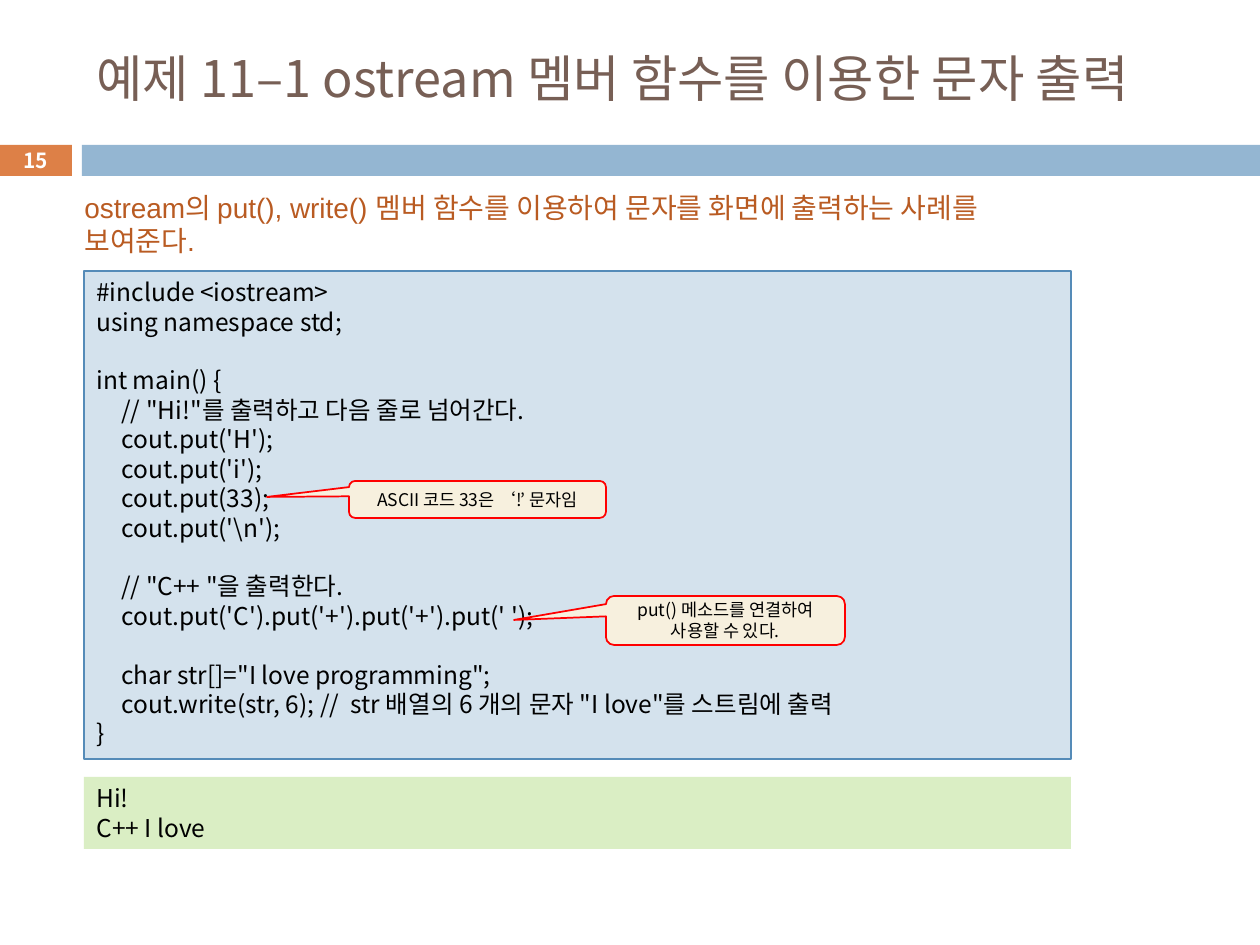
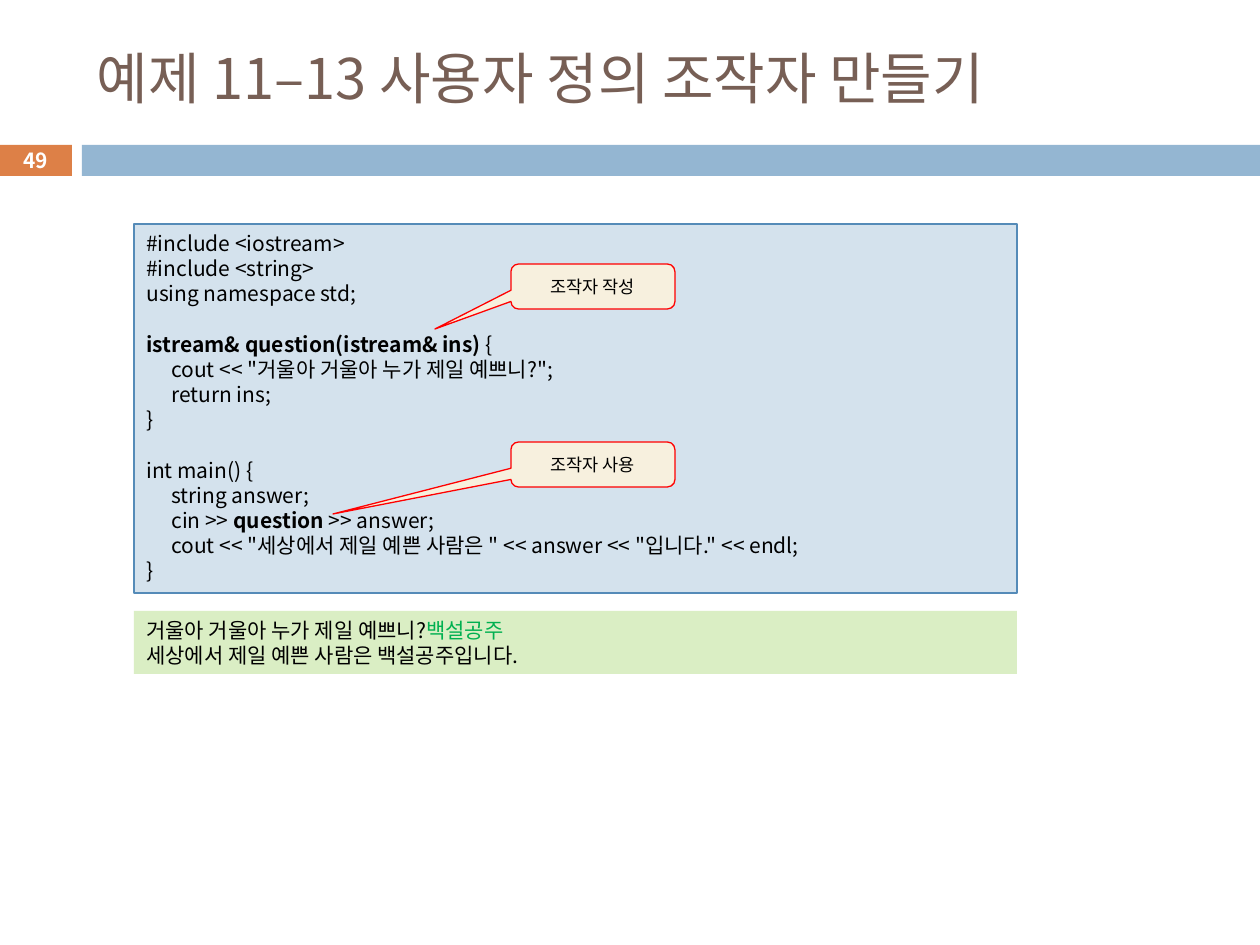
from lxml.etree import SubElement
from pptx import Presentation
from pptx.dml.color import RGBColor
from pptx.enum.shapes import MSO_SHAPE
from pptx.enum.text import MSO_ANCHOR, PP_ALIGN
from pptx.oxml.ns import qn
from pptx.util import Emu, Pt

SCALE = 914400 / 126  # EMU per px
FONT = "Noto Sans CJK KR"
BLACK = RGBColor(0, 0, 0)
WHITE = RGBColor(0xFF, 0xFF, 0xFF)
BROWN = RGBColor(0x77, 0x5F, 0x55)
ORANGE = RGBColor(0xDD, 0x80, 0x47)
BAND_BLUE = RGBColor(0x94, 0xB6, 0xD2)
INTRO_ORANGE = RGBColor(0xB9, 0x5B, 0x22)
CODE_FILL = RGBColor(0xD4, 0xE2, 0xED)
CODE_LINE = RGBColor(0x55, 0x8B, 0xB8)
OUTPUT_FILL = RGBColor(0xDA, 0xEE, 0xC4)
INPUT_GREEN = RGBColor(0, 0xB0, 0x50)
CALLOUT_FILL = RGBColor(0xF7, 0xF0, 0xDE)
RED = RGBColor(0xFF, 0, 0)
TAB = 25
LINE_HEIGHT = 1.2


def add_box(s, kind, box, fill=None, line=None, width=0.75):
    sp = s.shapes.add_shape(kind, *[Emu(round(v * SCALE)) for v in box])
    sp.shadow.inherit = False
    if fill is None:
        sp.fill.background()
    else:
        sp.fill.solid()
        sp.fill.fore_color.rgb = fill
    if line is None:
        sp.line.fill.background()
    else:
        sp.line.color.rgb = line
        sp.line.width = Pt(width)
    return sp


def write(sp, text, size, color=BLACK, align=PP_ALIGN.LEFT, anchor=MSO_ANCHOR.TOP,
          font=FONT, bold=False, mark_bold=False, mark_color=None):
    """Write one paragraph a line; parts between ** marks get the mark format.

    An empty line becomes space before the next paragraph.
    """
    tf = sp.text_frame
    tf.word_wrap = True
    tf.vertical_anchor = anchor
    p, gap = None, False
    for line in text.split("\n"):
        if not line:
            gap = True
            continue
        p = tf.add_paragraph() if p else tf.paragraphs[0]
        p.alignment = align
        if gap:
            p.space_before = Pt(size * LINE_HEIGHT)
        gap = False
        if line.startswith("\t"):
            tabs = SubElement(p._p.get_or_add_pPr(), qn("a:tabLst"))
            SubElement(tabs, qn("a:tab"), pos=str(round(TAB * SCALE)), algn="l")
        for i, part in enumerate(line.split("**")):
            if not part:
                continue
            marked = i % 2 == 1
            r = p.add_run()
            r.text = part
            r.font.size = Pt(size)
            r.font.bold = bold or (marked and mark_bold)
            r.font.color.rgb = mark_color if marked and mark_color else color
            r.font.name = font
            SubElement(r._r.get_or_add_rPr(), qn("a:ea"), typeface=FONT)


PUT_CODE = r"""#include <iostream>
using namespace std;

int main() {
    // "Hi!"를 출력하고 다음 줄로 넘어간다.
    cout.put('H');
    cout.put('i');
    cout.put(33);
    cout.put('\n');

    // "C++ "을 출력한다.
    cout.put('C').put('+').put('+').put(' ');

    char str[]="I love programming";
    cout.write(str, 6); //  str 배열의 6 개의 문자 "I love"를 스트림에 출력
}"""

QUESTION_CODE = """#include <iostream>
#include <string>
using namespace std;

**istream& question(istream& ins) **{
    cout << "거울아 거울아 누가 제일 예쁘니?";
    return ins;
}

int main() {
    string answer;
    cin >> **question** >> answer;
    cout << "세상에서 제일 예쁜 사람은 " << answer << "입니다." << endl;
}"""

# Callouts: box, tip of the pointer, text
SLIDES = [
    dict(title="예제 11–1 ostream 멤버 함수를 이용한 문자 출력", title_size=28.8, number="15",
         intro="ostream의 put(), write() 멤버 함수를 이용하여 문자를 화면에 출력하는 사례를 보여준다.",
         size=14, code=PUT_CODE, code_box=(84, 271, 987, 488),
         output="Hi!\nC++ I love", output_box=(84, 777, 987, 72),
         callout_line=1,
         callouts=[((606, 596, 239, 49), (514, 620), "put() 메소드를 연결하여\n사용할 수 있다."),
                   ((349, 481, 257, 37), (267, 497), "ASCII 코드 33은 ‘!’ 문자임")]),
    dict(title="예제 11–13 사용자 정의 조작자 만들기", title_size=32, number="49", intro=None,
         size=12, code=QUESTION_CODE, code_box=(134, 224, 883, 369),
         output="거울아 거울아 누가 제일 예쁘니?**백설공주**\n세상에서 제일 예쁜 사람은 백설공주입니다.",
         output_box=(134, 611, 883, 63),
         callout_line=0.75,
         callouts=[((511, 264, 164, 45), (435, 329), "조작자 작성"),
                   ((511, 442, 164, 45), (333, 514), "조작자 사용")]),
]

prs = Presentation()
prs.slide_width = Emu(round(1260 * SCALE))
prs.slide_height = Emu(round(945 * SCALE))

for data in SLIDES:
    s = prs.slides.add_slide(prs.slide_layouts[5])

    # Title, number block and band
    title = s.shapes.title
    title.left, title.top, title.width, title.height = [
        Emu(round(v * SCALE)) for v in (84, 31, 1124, 93)]
    write(title, data["title"], data["title_size"], BROWN, anchor=MSO_ANCHOR.MIDDLE)
    number = add_box(s, MSO_SHAPE.RECTANGLE, (0, 145, 72, 31), ORANGE)
    number.text_frame.margin_top = number.text_frame.margin_bottom = 0
    write(number, data["number"], 11.9, WHITE, PP_ALIGN.CENTER, MSO_ANCHOR.MIDDLE, bold=True)
    add_box(s, MSO_SHAPE.RECTANGLE, (82, 145, 1178, 31), BAND_BLUE)

    if data["intro"]:
        intro = s.shapes.add_textbox(*[Emu(round(v * SCALE)) for v in (72, 184, 1004, 81)])
        write(intro, data["intro"], 16, INTRO_ORANGE, font="Arial")

    # Program and what it prints
    code = add_box(s, MSO_SHAPE.RECTANGLE, data["code_box"], CODE_FILL, CODE_LINE)
    write(code, data["code"].replace("    ", "\t"), data["size"], mark_bold=True)
    output = add_box(s, MSO_SHAPE.RECTANGLE, data["output_box"], OUTPUT_FILL)
    write(output, data["output"], data["size"], mark_color=INPUT_GREEN)

    for box, tip, text in data["callouts"]:
        callout = add_box(s, MSO_SHAPE.ROUNDED_RECTANGULAR_CALLOUT, box,
                          CALLOUT_FILL, RED, data["callout_line"])
        x, y, w, h = box
        callout.adjustments[0] = (tip[0] - x) / w - 0.5
        callout.adjustments[1] = (tip[1] - y) / h - 0.5
        write(callout, text, 10, align=PP_ALIGN.CENTER, anchor=MSO_ANCHOR.MIDDLE)

prs.save("out.pptx")
